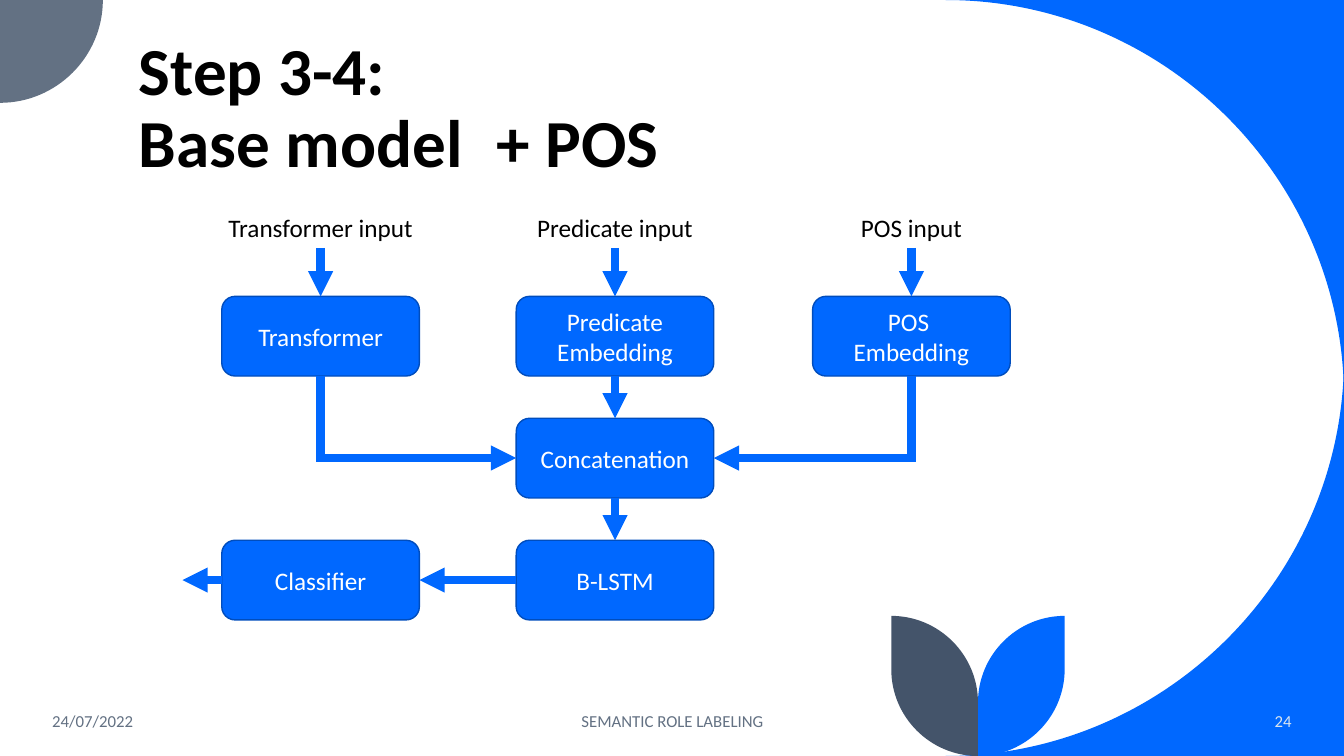
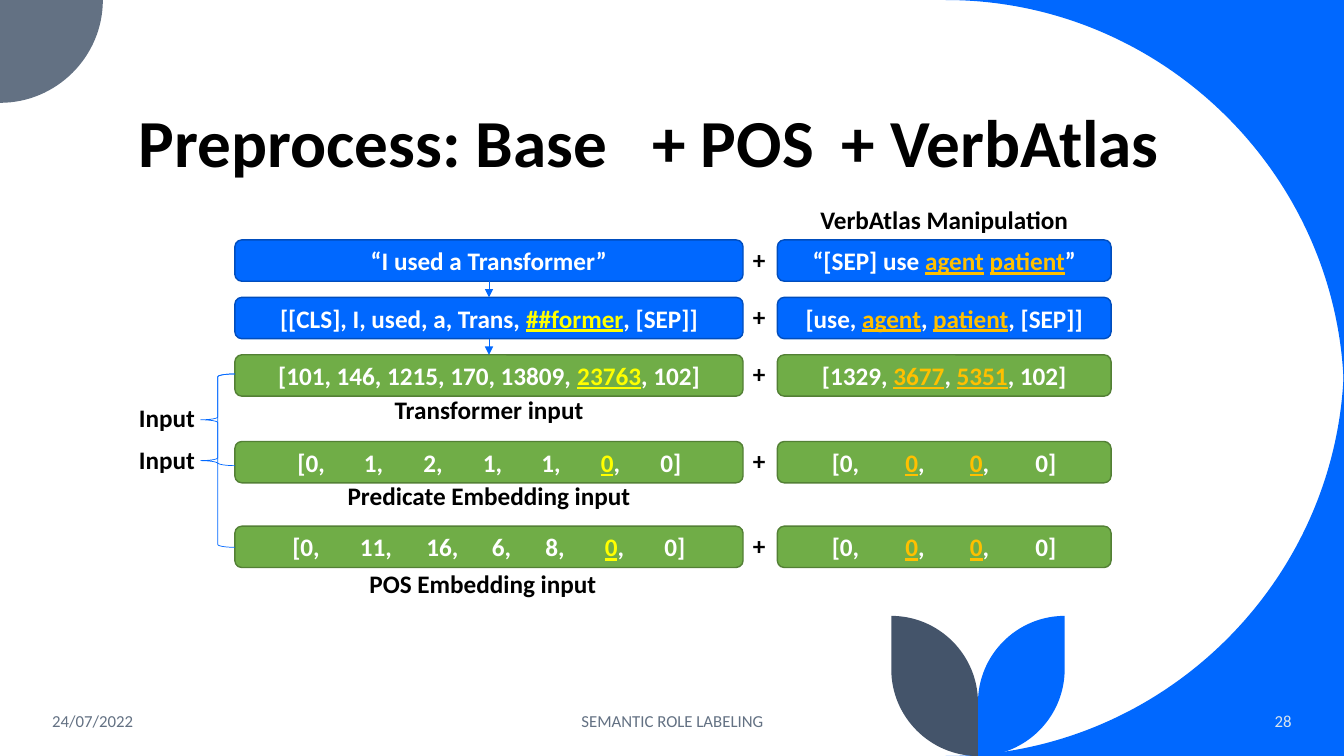
from dataclasses import dataclass

from lxml.etree import SubElement
from pptx import Presentation
from pptx.dml.color import RGBColor as Rgb
from pptx.enum.shapes import MSO_CONNECTOR as Connector, MSO_SHAPE as Shape
from pptx.enum.text import MSO_ANCHOR as Anchor, PP_ALIGN as Align
from pptx.oxml.ns import qn
from pptx.util import Inches, Pt


@dataclass(frozen=True)
class Theme:
    font: str = "Calibri"
    title_size: int = 48
    body_size: int = 18
    footer_size: int = 12
    blue: Rgb = Rgb(0x00, 0x68, 0xFF)
    blue_edge: Rgb = Rgb(0x00, 0x4D, 0xBD)
    green: Rgb = Rgb(0x70, 0xAD, 0x47)
    green_edge: Rgb = Rgb(0x53, 0x80, 0x35)
    slate: Rgb = Rgb(0x63, 0x71, 0x83)
    navy: Rgb = Rgb(0x44, 0x54, 0x6A)
    pale: Rgb = Rgb(0xDA, 0xE5, 0xEF)
    black: Rgb = Rgb(0, 0, 0)
    white: Rgb = Rgb(0xFF, 0xFF, 0xFF)
    yellow: Rgb = Rgb(0xFF, 0xFF, 0)
    orange: Rgb = Rgb(0xFF, 0xC0, 0)
    thick: float = 6
    thin: float = 0.5


THEME = Theme()
WIDTH, HEIGHT = 13.33, 7.5
TOP, LEFT, BOTTOM, RIGHT = range(4)  # connection sites of a rounded rectangle


def style_paragraph(para, size, color, bold=False, align=Align.LEFT):
    para.alignment = align
    para.font.name = THEME.font
    para.font.size = Pt(size)
    para.font.bold = bold
    para.font.color.rgb = color


def add_text(page, text, left, top, width, height=0.4, size=THEME.body_size,
             color=THEME.black, bold=False, align=Align.LEFT, anchor=Anchor.TOP,
             wrap=True):
    box = page.shapes.add_textbox(Inches(left), Inches(top), Inches(width), Inches(height))
    frame = box.text_frame
    frame.word_wrap = wrap
    frame.vertical_anchor = anchor
    para = frame.paragraphs[0]
    para.text = text
    style_paragraph(para, size, color, bold, align)
    return para


def add_title(page, text, left=1.28, width=10.69):
    para = add_text(page, text, left, 0.41, width, 1.45, THEME.title_size,
                    bold=True, anchor=Anchor.BOTTOM)
    para.line_spacing = 0.9


def add_label(page, text, center, top, width, bold=False):
    add_text(page, text, center - width / 2, top, width, bold=bold,
             align=Align.CENTER, wrap=False)


def quarter_arc(start, corner, end, pull=0.55):
    """Two control points, pulled towards the corner, and the end of the arc."""
    controls = [tuple(a + pull * (c - a) for a, c in zip(point, corner))
                for point in (start, end)]
    return [*controls, end]


def add_outline(page, color, start, *steps):
    """Each step is a list of one point for a line, or three for a curve."""
    builder = page.shapes.build_freeform(*(Inches(v) for v in start))
    builder.add_line_segments(
        [(Inches(x), Inches(y)) for step in steps for x, y in step], close=True)
    outline = builder.convert_to_shape()
    outline.shadow.inherit = False
    outline.fill.solid()
    outline.fill.fore_color.rgb = color
    outline.line.fill.background()
    segments = iter(list(outline._element.iter(qn("a:lnTo"))))
    for step in steps:
        first, *others = [next(segments) for _ in step]
        if others:
            first.tag = qn("a:cubicBezTo")
            for segment in others:
                first.append(segment[0])
                segment.getparent().remove(segment)


def add_leaf(page, side, color):
    """Half of the sprout: side is 1 for the right leaf, -1 for the left."""
    stem, top, shoulder, fork = 9.7, 6.11, 6.64, 6.97
    edge = stem + side * 0.86
    add_outline(page, color, (edge, top), [(edge, shoulder)],
                quarter_arc((edge, shoulder), (edge, HEIGHT), (stem, HEIGHT)),
                [(stem, fork)],
                quarter_arc((stem, fork), (stem, top), (edge, top)))


def add_corner(page, color, corner, start, bulge, end):
    """A corner of the page, bounded inside by an arc from start to end."""
    add_outline(page, color, corner, [start], quarter_arc(start, bulge, end))


def add_decoration(page):
    radius, small = 3.95, 1.02
    inner = WIDTH - radius
    for edge, middle in ((0, radius), (HEIGHT, HEIGHT - radius)):
        corner = (WIDTH, edge)
        add_corner(page, THEME.blue, corner, (inner, edge), corner, (WIDTH, middle))
    add_corner(page, THEME.slate, (0, 0), (small, 0), (small, small), (0, small))
    add_leaf(page, 1, THEME.blue)
    add_leaf(page, -1, THEME.navy)


def add_footer(page, number):
    for text, left, width, align, color in (
        ("24/07/2022", 0.42, 3, Align.LEFT, THEME.slate),
        ("SEMANTIC ROLE LABELING", 4.42, 4.5, Align.CENTER, THEME.slate),
        (str(number), 11.1, 1.81, Align.RIGHT, THEME.pale),
    ):
        add_text(page, text, left, 6.95, width, size=THEME.footer_size, color=color,
                 align=align, anchor=Anchor.MIDDLE)


def add_page(deck, title, number):
    page = deck.slides.add_slide(deck.slide_layouts[6])
    add_decoration(page)
    add_title(page, title)
    add_footer(page, number)
    return page


def add_box(page, left, top, width, height, fill=THEME.blue, edge=THEME.blue_edge):
    box = page.shapes.add_shape(Shape.ROUNDED_RECTANGLE, Inches(left), Inches(top),
                                Inches(width), Inches(height))
    box.shadow.inherit = False
    box.fill.solid()
    box.fill.fore_color.rgb = fill
    box.line.color.rgb = edge
    box.line.width = Pt(1)
    box.text_frame.word_wrap = True
    box.text_frame.vertical_anchor = Anchor.MIDDLE
    return box


def add_arrow(page, start, end, weight, kind=Connector.STRAIGHT, tip="a:tailEnd"):
    arrow = page.shapes.add_connector(kind, *(Inches(v) for v in (*start, *end)))
    arrow.line.color.rgb = THEME.blue
    arrow.line.width = Pt(weight)
    properties = arrow._element.spPr
    line = properties.find(qn("a:ln"))
    SubElement(line, qn("a:miter"), lim="800000")
    SubElement(line, qn(tip), type="triangle")
    SubElement(properties, qn("a:effectLst"))
    return arrow


def join(page, source, source_site, target, target_site):
    arrow = add_arrow(page, (0, 0), (0, 0), THEME.thick)
    arrow.begin_connect(source, source_site)
    arrow.end_connect(target, target_site)


def join_with_bend(page, source, target, target_site):
    """Arrow down from source, then sideways into target; drawn from its tip."""
    arrow = add_arrow(page, (0, 0), (0, 0), THEME.thick, Connector.ELBOW, "a:headEnd")
    arrow.begin_connect(target, target_site)
    arrow.end_connect(source, BOTTOM)
    arrow._element.spPr.find(qn("a:prstGeom")).set("prst", "bentConnector2")


def add_brace(page, top, bottom):
    brace = page.shapes.add_shape(Shape.LEFT_BRACE, Inches(1.99), Inches(top),
                                  Inches(0.34), Inches(bottom - top))
    brace.shadow.inherit = False
    brace.fill.background()
    brace.line.color.rgb = THEME.blue
    brace.line.width = Pt(THEME.thin)


def add_marked_runs(para, text, mark_color):
    """Parts of the text between asterisks are underlined and coloured."""
    for index, part in enumerate(text.split("*")):
        span = para.add_run()
        span.text = part
        if index % 2:
            span.font.underline = True
            span.font.color.rgb = mark_color


def add_tab_stops(para, stops):
    properties = para._p.get_or_add_pPr()
    tabs = properties.makeelement(qn("a:tabLst"))
    for stop in stops:
        SubElement(tabs, qn("a:tab"), pos=str(Inches(stop)), algn="l")
    properties.insert(0, tabs)


def fill_row(box, text, mark_color, inset=None, stops=()):
    """Centre the text, or set it in columns from an inset and tab stops."""
    para = box.text_frame.paragraphs[0]
    align = Align.LEFT if stops else Align.CENTER
    style_paragraph(para, THEME.body_size, THEME.white, True, align)
    add_marked_runs(para, text, mark_color)
    if stops:
        box.text_frame.margin_left = Inches(inset)
        add_tab_stops(para, stops)


def build_model_page(deck):
    page = add_page(deck, "Step 3-4: \vBase model", 24)
    add_title(page, "+ POS", 4.83, 3)
    box_width, box_height = 1.96, 0.79
    columns = (2.2, 5.12, 8.06)
    rows = (2.94, 4.15, 5.36)
    boxes = {}
    for text, column, row in (
        ("Transformer", 0, 0), ("Predicate Embedding", 1, 0), ("POS \vEmbedding", 2, 0),
        ("Concatenation", 1, 1), ("Classifier", 0, 2), ("B-LSTM", 1, 2),
    ):
        box = add_box(page, columns[column], rows[row], box_width, box_height)
        para = box.text_frame.paragraphs[0]
        para.text = text
        style_paragraph(para, THEME.body_size, THEME.white, align=Align.CENTER)
        boxes[column, row] = box

    labels = (("Transformer input", 2.14), ("Predicate input", 1.85), ("POS input", 1.27))
    for left, (text, width) in zip(columns, labels):
        center = left + box_width / 2
        add_label(page, text, center, 2.06, width)
        add_arrow(page, (center, 2.46), (center, rows[0]), THEME.thick)

    concatenation = boxes[1, 1]
    join(page, boxes[1, 0], BOTTOM, concatenation, TOP)
    join_with_bend(page, boxes[0, 0], concatenation, LEFT)
    join_with_bend(page, boxes[2, 0], concatenation, RIGHT)
    join(page, concatenation, BOTTOM, boxes[1, 2], TOP)
    join(page, boxes[1, 2], LEFT, boxes[0, 2], RIGHT)
    output_y = rows[2] + box_height / 2
    add_arrow(page, (columns[0], output_y), (1.81, output_y), THEME.thick)


def build_preprocess_page(deck):
    page = add_page(deck, "Preprocess: Base", 28)
    add_title(page, "+ POS", 6.37, 1.95)
    add_title(page, "+ VerbAtlas", 8.25, 3.61)

    base_left, base_width = 2.33, 5.04
    verb_left, verb_width = 7.71, 3.31
    row_height = 0.41
    tops = (2.38, 2.95, 3.52, 4.38, 5.22)
    blue = (THEME.blue, THEME.blue_edge)
    green = (THEME.green, THEME.green_edge)
    zeros = ("[0,\t*0*,\t*0*,\t0]", 0.52, (0.73, 1.37, 2.02))
    rows = (
        (blue, ("“I used a Transformer”",), ("“[SEP] use *agent* *patient*”",)),
        (blue, ("[[CLS], I, used, a, Trans, *##former*, [SEP]]",),
         ("[use, *agent*, *patient*, [SEP]]",)),
        (green, ("[101, 146, 1215, 170, 13809, *23763*, 102]",),
         ("[1329, *3677*, *5351*, 102]",)),
        (green, ("[0,\t1,\t2,\t1,\t1,\t*0*,\t0]", 0.6,
                 (0.66, 1.25, 1.84, 2.42, 3.01, 3.6)), zeros),
        (green, ("[0,\t11,\t16,\t6,\t8,\t*0*,\t0]", 0.55,
                 (0.67, 1.33, 1.98, 2.51, 3.1, 3.69)), zeros),
    )
    for top, (colors, base, verb) in zip(tops, rows):
        fill_row(add_box(page, base_left, top, base_width, row_height, *colors),
                 base[0], THEME.yellow, *base[1:])
        fill_row(add_box(page, verb_left, top, verb_width, row_height, *colors),
                 verb[0], THEME.orange, *verb[1:])
        add_text(page, "+", 7.37, top - 0.01, 0.34, bold=True)

    center = base_left + base_width / 2
    for upper, lower in zip(tops[:2], tops[1:3]):
        add_arrow(page, (center, upper + row_height), (center, lower), THEME.thin)

    for text, middle, top, width in (
        ("VerbAtlas Manipulation", verb_left + verb_width / 2, 1.98, 2.8),
        ("Transformer input", center, 3.86, 2.18),
        ("Predicate Embedding input", center, 4.72, 3.22),
        ("POS Embedding input", 4.79, 5.59, 2.6),
    ):
        add_label(page, text, middle, top, width, bold=True)

    for bottom, label_top in ((4.62, 3.94), (5.43, 4.36)):
        add_brace(page, 3.71, bottom)
        add_text(page, "Input", 1.28, label_top, 0.77, bold=True, wrap=False)


def main():
    deck = Presentation()
    deck.slide_width, deck.slide_height = Inches(WIDTH), Inches(HEIGHT)
    build_model_page(deck)
    build_preprocess_page(deck)
    deck.save("out.pptx")


if __name__ == "__main__":
    main()
